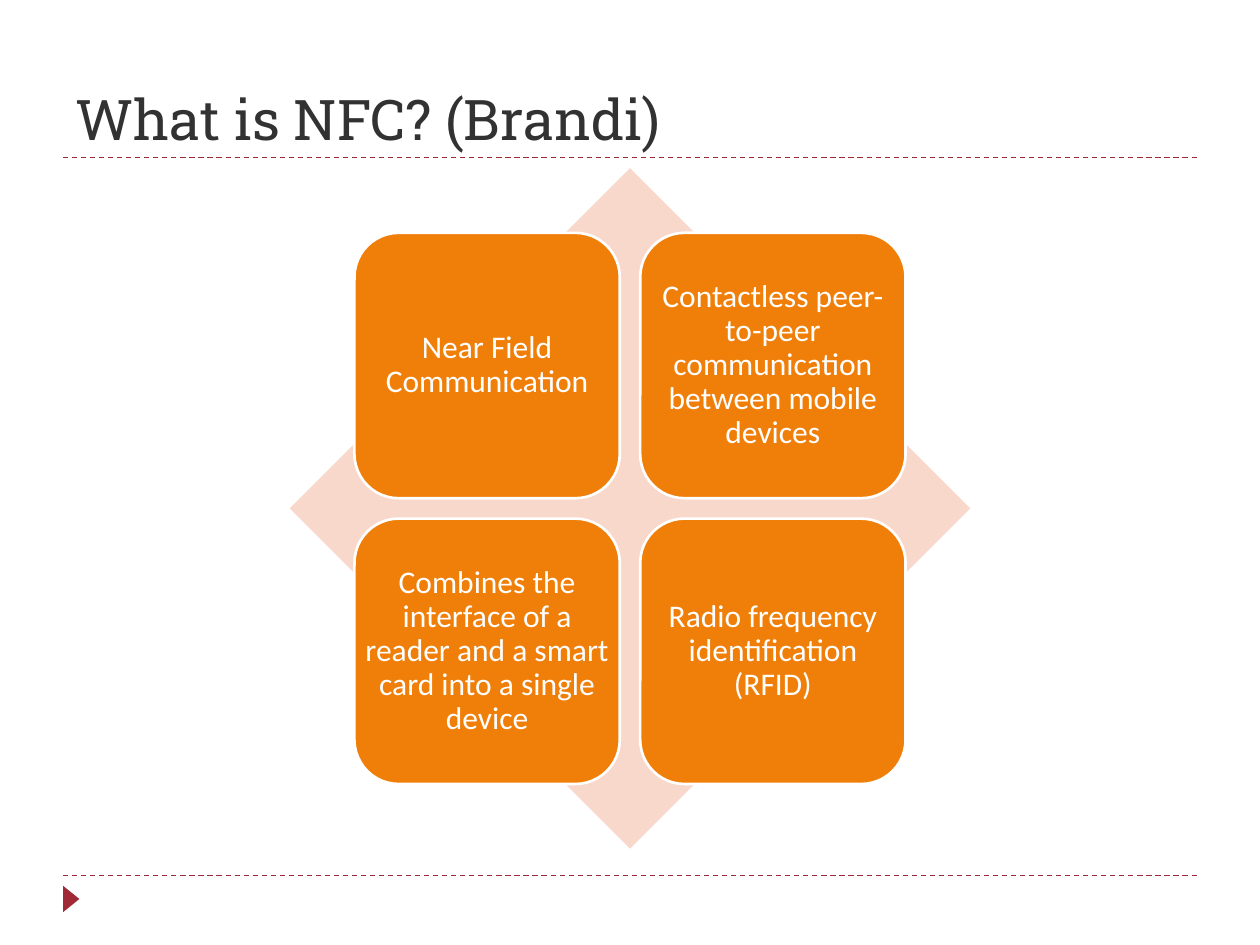
from pptx import Presentation
from pptx.dml.color import RGBColor
from pptx.enum.dml import MSO_LINE as Dash
from pptx.enum.shapes import MSO_CONNECTOR as Conn, MSO_SHAPE as Kind
from pptx.enum.text import MSO_ANCHOR as Anchor, PP_ALIGN as Align
from pptx.oxml.ns import qn
from pptx.util import Inches, Pt
from lxml.etree import SubElement

# The grid has 20 columns and 15 rows of half an inch
CELL = 0.5


def grid(*cells):
    return [Inches(c * CELL) for c in cells]


def color(code):
    return RGBColor.from_string(code)


def write(box, text, font="Calibri", size=18, ink="FFFFFF", align=Align.CENTER,
          anchor=Anchor.MIDDLE, lead=0.9, pad=(0.07, 0.07)):
    frame = box.text_frame
    frame.word_wrap = True
    frame.vertical_anchor = anchor
    frame.margin_left = frame.margin_right = Inches(pad[0])
    frame.margin_top = frame.margin_bottom = Inches(pad[1])
    para = frame.paragraphs[0]
    para.alignment, para.line_spacing = align, lead
    run = para.add_run()
    run.text = text
    run.font.name, run.font.size = font, Pt(size)
    run.font.color.rgb = color(ink)


class Deck:
    red, pink, orange, white, dark = "9F2936", "F9D8CC", "F07F09", "FFFFFF", "323232"

    def __init__(self):
        self.show = Presentation()
        self.show.slide_width, self.show.slide_height = grid(20, 15)
        self.slide = self.show.slides.add_slide(self.show.slide_layouts[6])
        self.items = self.slide.shapes

    def rule(self, row):
        x, y, end = grid(1, row, 19)
        line = self.items.add_connector(Conn.STRAIGHT, x, y, end, y)
        line.line.color.rgb = color(self.red)
        line.line.width = Pt(0.75)
        line.line.dash_style = Dash.DASH
        SubElement(line._element.spPr, qn("a:effectLst"))

    def shape(self, kind, col, row, wide, high, fill, edge=None, turn=0):
        item = self.items.add_shape(kind, *grid(col, row, wide, high))
        item.shadow.inherit = False
        item.rotation = turn
        item.fill.solid()
        item.fill.fore_color.rgb = color(fill)
        if edge:
            item.line.color.rgb = color(edge)
            item.line.width = Pt(1.5)
        else:
            item.line.fill.background()

    def text(self, col, row, wide, high, words, **form):
        write(self.items.add_textbox(*grid(col, row, wide, high)), words, **form)


deck = Deck()

# Frame of the page
for row in (13.9, 2.5):
    deck.rule(row)
deck.shape(Kind.ISOSCELES_TRIANGLE, 0.92, 14.14, 0.42, 0.26, deck.red, turn=90)

# Title
deck.text(1, 0.34, 18, 2.16, "What is NFC? (Brandi)", font="Roboto Slab", size=32,
          ink=deck.dark, align=Align.LEFT, anchor=Anchor.BOTTOM, lead=1, pad=(0.1, 0.05))

# Diamond, with four tiles in two columns around its centre
left, top, span = 4.6, 2.67, 10.8
deck.shape(Kind.DIAMOND, left, top, span, span, deck.pink)
side, inset, step = (span * part for part in (0.39, 0.095, 0.42))
facts = [
    "Near Field Communication",
    "Contactless peer-to-peer communication between mobile devices",
    "Combines the interface of a reader and a smart card into a single device",
    "Radio frequency identification (RFID)",
]
for i, fact in enumerate(facts):
    row, col = divmod(i, 2)
    spot = (left + inset + col * step, top + inset + row * step, side, side)
    deck.shape(Kind.ROUNDED_RECTANGLE, *spot, deck.orange, edge=deck.white)
    deck.text(*spot, fact)

deck.show.save("out.pptx")
